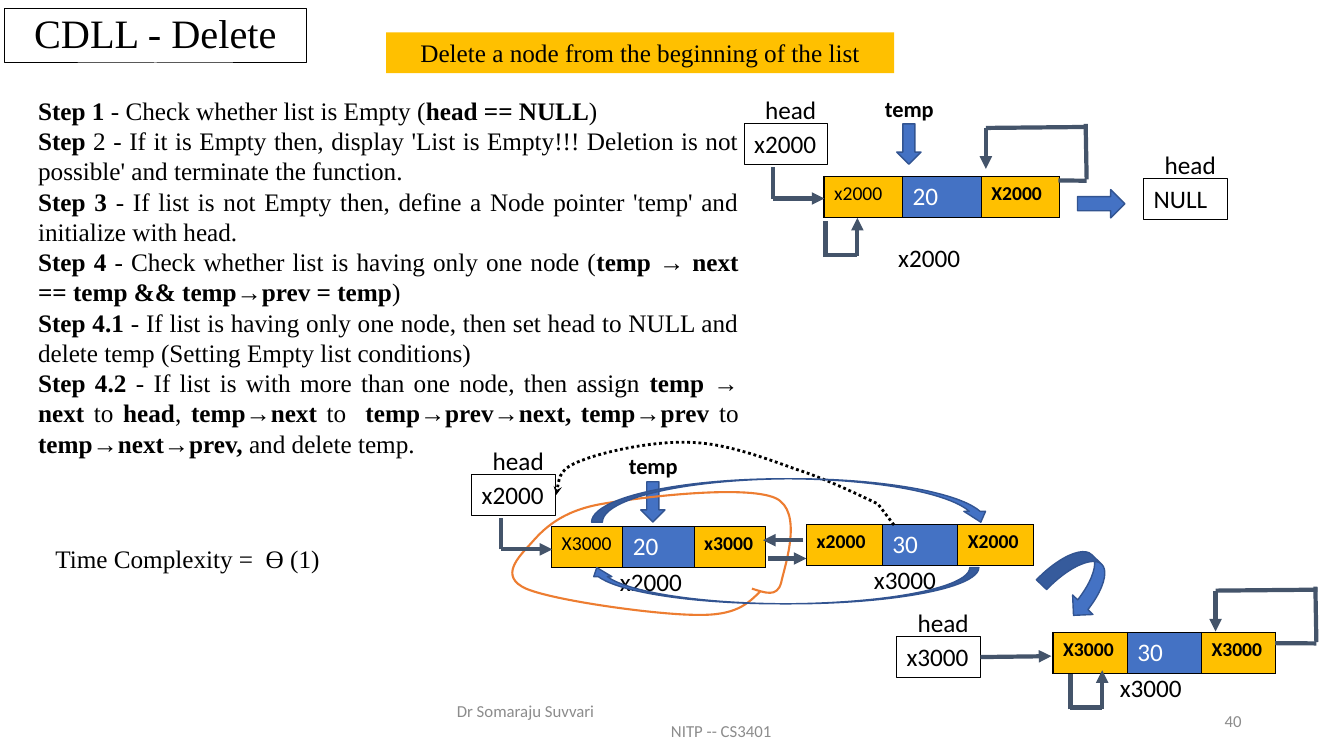
from lxml import etree
from pptx import Presentation
from pptx import util as u
from pptx.dml.color import RGBColor
from pptx.enum import dml, shapes, text
from pptx.oxml import ns

Pt = u.Pt
Kind = shapes.MSO_SHAPE
Side = text.PP_ALIGN


class Theme:
    serif, sans = "Times New Roman", "Calibri"
    black, white, grey = "000000", "FFFFFF", "8C8C8C"
    gold, blue, edge = "FFC000", "4472C4", "325491"
    slate, orange = "44546A", "ED7D31"
    title, main, temp, cell, foot = 28.8, 18, 16, 14, 12


def write(para, words, size=Theme.main, face=Theme.sans, bold=False, color=Theme.black):
    run = para.add_run()
    run.text = words
    run.font.size, run.font.name, run.font.bold = Pt(size), face, bold
    run.font.color.rgb = RGBColor.from_string(color)


def add(kind, x, y, w, h, fill=None, edge=None, width=1, turn=0):
    """Add a preset shape, or a text box when kind is None."""
    spot = [Pt(v) for v in (x, y, w, h)]
    if kind is None:
        item = slide.shapes.add_textbox(*spot)
    else:
        item = slide.shapes.add_shape(kind, *spot)
        item.shadow.inherit = False
        item.rotation = turn
        for part, tone in ((item.fill, fill), (item.line.fill, edge)):
            if tone:
                part.solid()
                part.fore_color.rgb = RGBColor.from_string(tone)
            else:
                part.background()
        if edge:
            item.line.width = Pt(width)
    frame = item.text_frame
    frame.word_wrap = True
    frame.vertical_anchor = text.MSO_ANCHOR.TOP
    frame.paragraphs[0].alignment = Side.LEFT
    return item


deck = Presentation()
deck.slide_width, deck.slide_height = Pt(960), Pt(540)
slide = deck.slides.add_slide(deck.slide_layouts[1])

# Title
title = slide.shapes.title
title.left, title.top, title.width, title.height = Pt(3), Pt(6), Pt(216), Pt(39)
title.line.color.rgb = RGBColor.from_string(Theme.black)
title.line.width = Pt(0.75)
title.text_frame.vertical_anchor = text.MSO_ANCHOR.MIDDLE
para = title.text_frame.paragraphs[0]
para.alignment, para.line_spacing = Side.CENTER, 0.9
write(para, "CDLL - Delete", Theme.title, Theme.serif)

# Heading bar
bar = add(Kind.RECTANGLE, 275.8, 23.2, 362.9, 29.1, Theme.gold)
para = bar.text_frame.paragraphs[0]
para.alignment = Side.CENTER
write(para, "Delete a node from the beginning of the list", face=Theme.serif)

# Steps: runs alternate bold and plain
steps = [
    ["Step 1 ", "- Check whether list is Empty (", "head == NULL", ")"],
    ["Step", " 2 - If it is Empty then, display 'List is Empty!!! Deletion is not "
     "possible' and terminate the function."],
    ["Step 3 ", "- If list is not Empty then, define a Node pointer 'temp' and "
     "initialize with head."],
    ["Step 4 ", "- Check whether list is having only one node (",
     "temp → next == temp && temp→prev = temp", ")"],
    ["Step 4.1 ", "- If list is having only one node, then set head to NULL and "
     "delete temp (Setting Empty list conditions)"],
    ["Step 4.2 ", "- If list is with more than one node, then assign ",
     "temp → next ", "to", " head", ", ", "temp→next", " to  ",
     "temp→prev→next, temp→prev", " to ", "temp→next→prev, ", "and delete temp."],
]
body = slide.placeholders[1]
body.left, body.top, body.width, body.height = Pt(20), Pt(64.4), Pt(514.8), Pt(269.3)
frame = body.text_frame
frame.auto_size = text.MSO_AUTO_SIZE.NONE
for i, step in enumerate(steps):
    para = frame.add_paragraph() if i else frame.paragraphs[0]
    para.alignment, para.space_before = Side.JUSTIFY, Pt(0)
    prop = para._p.get_or_add_pPr()
    prop.set("marL", "0")
    prop.set("indent", "0")
    etree.SubElement(prop, ns.qn("a:buNone"))
    for j, words in enumerate(step):
        write(para, words, face=Theme.serif, bold=j % 2 == 0)

# Head pointers
heads = []
for x, y, words in [(531.6, 88.4, "x2000"), (817, 127.4, "NULL"),
                    (337, 339.1, "x2000"), (640.5, 454.8, "x3000")]:
    head = add(Kind.RECTANGLE, x, y, 59.8, 29.1, None, Theme.black, 0.75)
    write(head.text_frame.paragraphs[0], words)
    name = add(None, x + 7.9, y - 24.3, 59.8, 29.1)
    write(name.text_frame.paragraphs[0], "head")
    heads.append(head)

# Nodes: left, top, width, cells, bold first cell, address and its offset
nodes = [
    (588.6, 126, 168.5, ["x2000", "20", "X2000"], False, "x2000", 45.9, 43.2),
    (394, 376.2, 152.8, ["X3000", "20", "x3000"], False, "x2000", 41.8, 24.7),
    (576.2, 374.8, 162, ["x2000", "30", "X2000"], True, "x3000", 41, 24.7),
    (752.2, 451.7, 159.1, ["X3000", "30", "X3000"], True, "x3000", 40.6, 24.7),
]
for x, y, w, cells, bold, words, dx, dy in nodes:
    grid = slide.shapes.add_table(1, 3, Pt(x), Pt(y), Pt(w), Pt(29.2)).table
    grid.first_row = grid.horz_banding = False
    for i, value in enumerate(cells):
        grid.columns[i].width = Pt(w / 3)
        cell = grid.cell(0, i)
        prop = cell._tc.get_or_add_tcPr()
        for side in ("lnL", "lnR", "lnT", "lnB"):
            rim = etree.SubElement(prop, ns.qn("a:" + side), w=str(Pt(1)))
            tint = etree.SubElement(rim, ns.qn("a:solidFill"))
            etree.SubElement(tint, ns.qn("a:srgbClr"), val=Theme.black)
        data = i == 1
        cell.fill.solid()
        cell.fill.fore_color.rgb = RGBColor.from_string(Theme.blue if data else Theme.gold)
        write(cell.text_frame.paragraphs[0], value, Theme.main if data else Theme.cell,
              bold=i == 2 or (i == 0 and bold), color=Theme.white if data else Theme.black)
    name = add(None, x + dx, y + dy, 64.8, 29.1)
    write(name.text_frame.paragraphs[0], words)

# Temp pointers
for x, y in [(625, 64.1), (442.1, 319.7)]:
    name = add(None, x, y, 54.7, 26.7)
    write(name.text_frame.paragraphs[0], "temp", Theme.temp, bold=True)
    add(Kind.DOWN_ARROW, x + 15.6, y + 24.4, 17.3, 28.8, Theme.blue, Theme.edge)

# Curves: start, then two controls and an end for each cubic piece
curves = [
    (Theme.orange, 1.5, False, (537.1, 420.5), [
        (546.5, 423.4), (555.1, 427), (558, 416.2), (560.2, 405.4), (574.6, 365),
        (553.7, 355.7), (532.1, 346.3), (458.6, 355), (429.8, 360), (401, 365),
        (388.1, 378), (379.4, 388.1), (370.1, 398.2), (356.4, 411.8), (375.8, 420.5),
        (396, 429.1), (469.4, 439.2), (497.5, 439.2), (525.6, 439.9), (534.2, 431.3),
        (542.9, 422.6)]),
    (Theme.black, 2, True, (638.6, 375.1), [
        (634.8, 370.1), (630.9, 365), (627.1, 360), (617.8, 355.7), (591.8, 342.7),
        (569.5, 335.5), (547.2, 327.6), (519.1, 316.8), (493.9, 316.1), (468, 314.6),
        (431.3, 322.6), (415.4, 329), (399.6, 334.8), (398.9, 344.2), (397.4, 353.5)]),
]
for tone, width, dotted, start, dots in curves:
    pen = slide.shapes.build_freeform(Pt(start[0]), Pt(start[1]))
    pen.add_line_segments([(Pt(x), Pt(y)) for x, y in dots], close=False)
    curve = pen.convert_to_shape()
    # Every three line points become one cubic piece
    legs = list(curve._element.iter(ns.qn("a:lnTo")))
    for k in range(0, len(legs), 3):
        bend = etree.Element(ns.qn("a:cubicBezTo"))
        legs[k].addprevious(bend)
        for leg in legs[k:k + 3]:
            bend.append(leg[0])
            leg.getparent().remove(leg)
    curve.shadow.inherit = False
    curve.fill.background()
    curve.line.color.rgb = RGBColor.from_string(tone)
    curve.line.width = Pt(width)
    if dotted:
        curve.line.dash_style = dml.MSO_LINE.ROUND_DOT
        rim = curve._element.spPr.find(ns.qn("a:ln"))
        etree.SubElement(rim, ns.qn("a:tailEnd"), type="stealth")

# Block arrows
for kind, x, y, w, h, turn in [
        (Kind.RIGHT_ARROW, 769.7, 135.4, 33.8, 20.2, 0),
        (Kind.CURVED_LEFT_ARROW, 751, 392.4, 40.3, 46.8, 313.8),
        (Kind.CURVED_DOWN_ARROW, 422.6, 342, 285.8, 31, 0),
        (Kind.CURVED_DOWN_ARROW, 419.8, 405.4, 279.4, 25.9, 180)]:
    add(kind, x, y, w, h, Theme.blue, Theme.edge, turn=turn)

# Links: from, to, arrowhead
links = [(697.7, 468.7, 751, 468.7, True),
         (548.6, 398.9, 576, 398.9, True), (573.8, 385.9, 545, 385.9, True)]
for x, y in [(552.2, 141.8), (357.8, 392.4)]:  # head to node
    links += [(x, y, x + 36.7, y, True), (x, y, x, y - 22.7, False)]
for x, y, edge in [(704.2, 91.4, 756), (868.3, 421.9, 910.8)]:  # next loops
    links += [(edge, y + 37.5, x + 72, y + 37.7, False),
              (x + 72, y + 36.7, x + 71.3, y - 2.9, False),
              (x, y, x + 72.7, y - 0.7, False), (x, y, x, y + 29.2, True)]
for x, y in [(589.7, 182.2), (764.6, 505.4)]:  # prev loops
    links += [(x, y, x + 22.3, y, False), (x + 22.7, y + 0.7, x + 22.7, y - 26.6, True),
              (x, y + 1.4, x, y - 24.1, False)]
for i, (x, y, right, low, tip) in enumerate(links):
    link = slide.shapes.add_connector(
        shapes.MSO_CONNECTOR.STRAIGHT, Pt(x), Pt(y), Pt(right), Pt(low))
    link.line.color.rgb = RGBColor.from_string(Theme.slate)
    link.line.width = Pt(3)
    prop = link._element.spPr
    if tip:
        etree.SubElement(prop.find(ns.qn("a:ln")), ns.qn("a:tailEnd"), type="triangle")
    etree.SubElement(prop, ns.qn("a:effectLst"))
    if i == 0:
        link.begin_connect(heads[3], 3)

# Time complexity
note = add(None, 32.4, 384.2, 215.3, 29.1)
write(note.text_frame.paragraphs[0], "Time Complexity =  Ɵ (1)", face=Theme.serif)

# Footer and page number
foot = add(None, 319.2, 500.4, 324, 28.8).text_frame
page = add(None, 678, 500.4, 216, 28.8).text_frame
foot.vertical_anchor = page.vertical_anchor = text.MSO_ANCHOR.MIDDLE
para = foot.paragraphs[0]
prop = para._p.get_or_add_pPr()
prop.set("marL", str(Pt(153)))
prop.set("indent", str(-Pt(153)))
write(para, "Dr Somaraju Suvvari", Theme.foot, color=Theme.grey)
para.add_line_break()
write(para, "NITP -- CS3401", Theme.foot, color=Theme.grey)
page.paragraphs[0].alignment = Side.RIGHT
write(page.paragraphs[0], "40", Theme.foot, color=Theme.grey)

deck.save("out.pptx")
